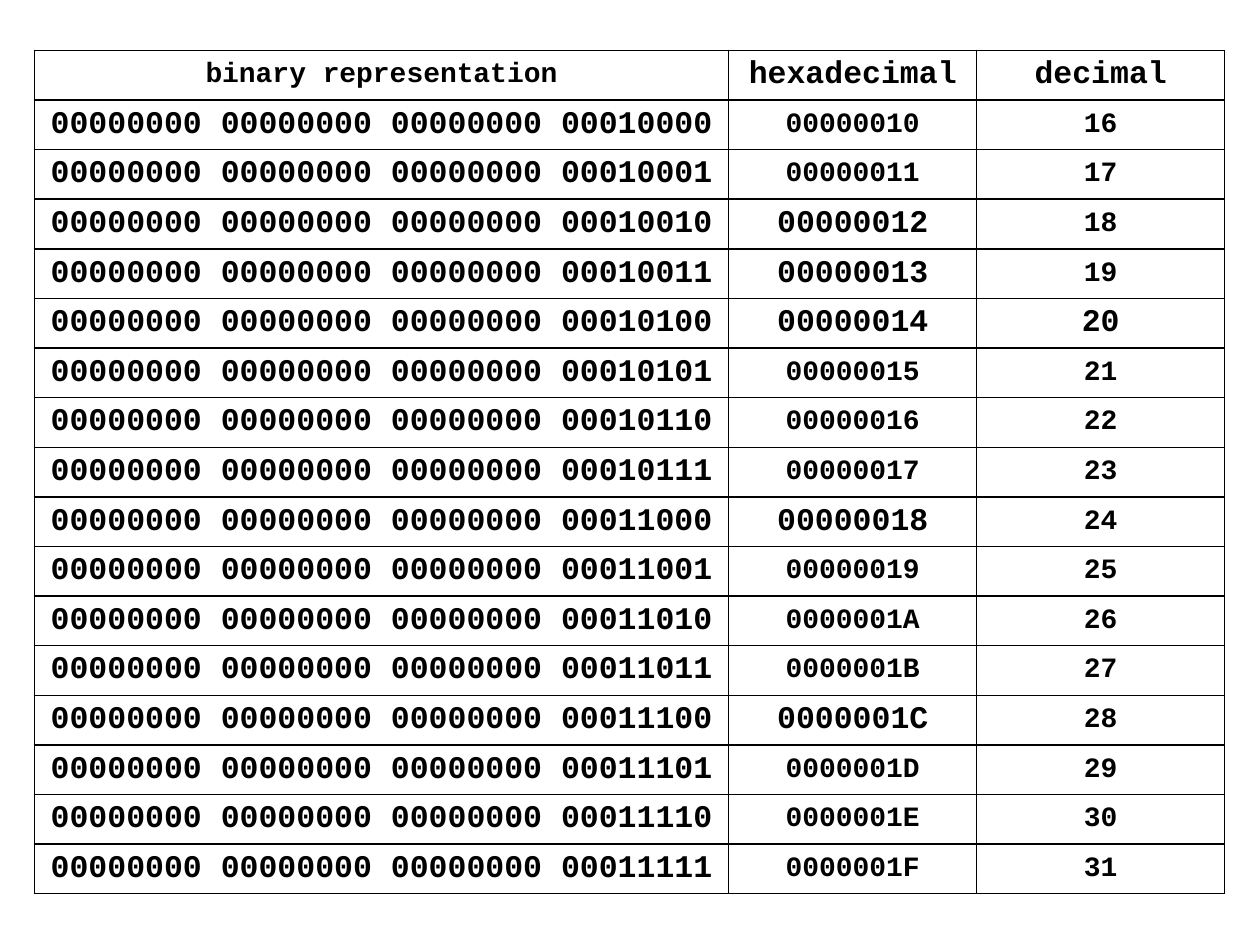
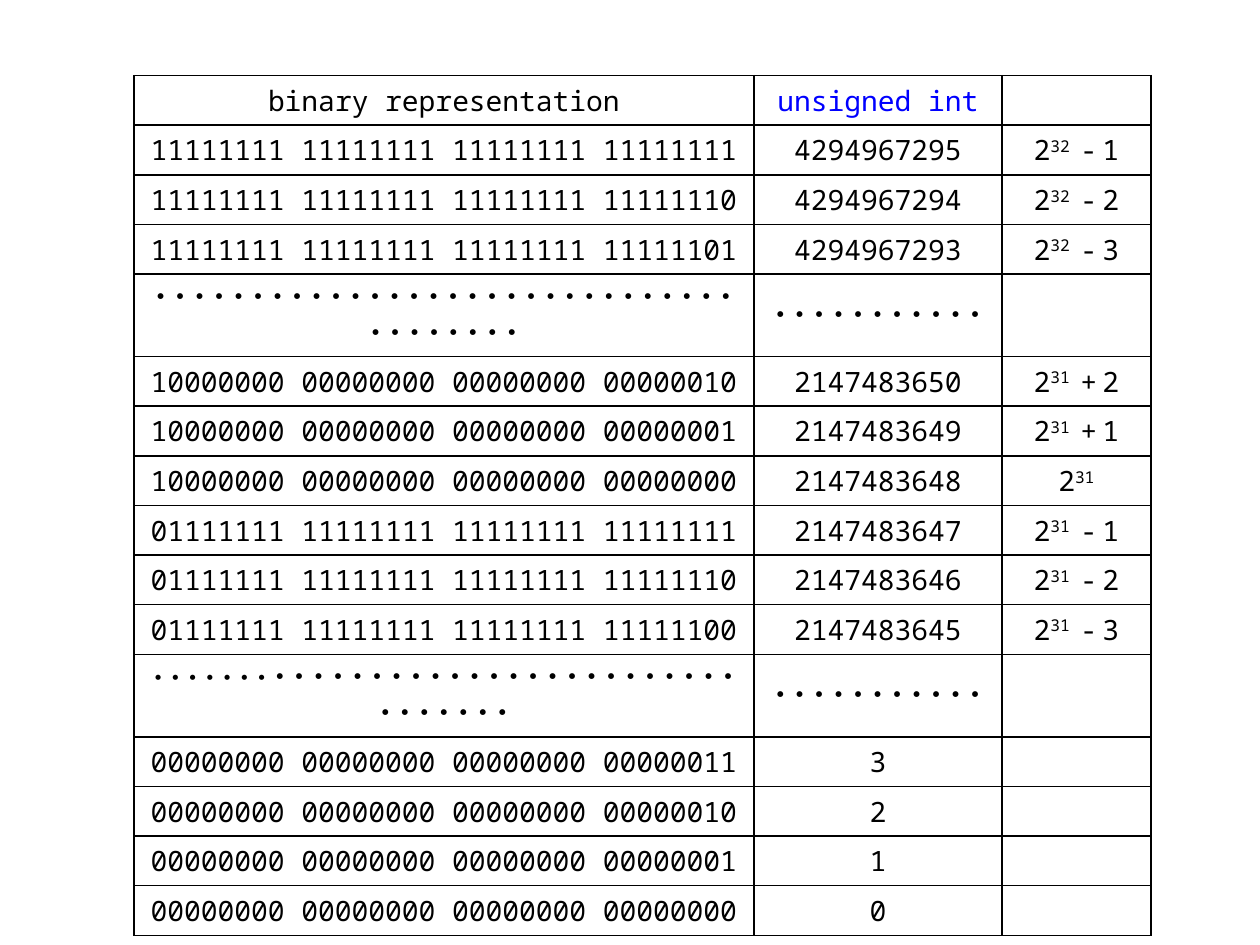
from lxml import etree
from pptx import Presentation
from pptx.dml.color import RGBColor
from pptx.enum import text
from pptx.oxml.ns import qn
from pptx.util import Pt

HUES = {"ink": "000000", "paper": "FFFFFF", "type": "0000FF"}
ROW = 28.35
SIDE, EDGE = 7.09, 2.83
MONO = {"face": "Noto Sans Mono", "size": 16}
DOTS = {"face": "Cambria", "size": 18, "bold": True}


def hue(name):
    return RGBColor.from_string(HUES[name])


def add_run(par, words, face, size, bold=False, tint="ink", base=0, gap=0):
    run = par.add_run()
    run.text = words
    font = run.font
    font.name, font.size, font.bold = face, Pt(size), bold
    font.color.rgb = hue(tint)
    props = run._r.get_or_add_rPr()
    if base:
        props.set("baseline", str(base * 1000))
    if gap:
        props.set("spc", str(gap * 100))


def rule_cell(cell):
    # Thin black line on all four sides
    props = cell._tc.get_or_add_tcPr()
    for side in ("lnL", "lnR", "lnT", "lnB"):
        line = etree.SubElement(props, qn("a:" + side), w=str(Pt(1)))
        fill = etree.SubElement(line, qn("a:solidFill"))
        etree.SubElement(fill, qn("a:srgbClr"), val=HUES["ink"])


def fill_cell(cell, runs, side):
    rule_cell(cell)
    cell.fill.solid()
    cell.fill.fore_color.rgb = hue("paper")
    cell.vertical_anchor = text.MSO_ANCHOR.MIDDLE
    cell.margin_left = cell.margin_right = Pt(side)
    cell.margin_top = cell.margin_bottom = Pt(EDGE)
    par = cell.text_frame.paragraphs[0]
    par.alignment = text.PP_ALIGN.CENTER
    for words, style in runs:
        add_run(par, words, **style)


def add_grid(slide, left, top, widths, rows, tight):
    """Draw rows of run lists; tight is the header column with slim sides."""
    frame = slide.shapes.add_table(len(rows), len(widths), Pt(left), Pt(top),
                                   Pt(sum(widths)), Pt(ROW * len(rows)))
    grid = frame.table
    grid.first_row = grid.horz_banding = False
    for col, width in zip(grid.columns, widths):
        col.width = Pt(width)
    for r, row in enumerate(rows):
        grid.rows[r].height = Pt(ROW)
        for c, runs in enumerate(row):
            side = EDGE if (r, c) == (0, tight) else SIDE
            fill_cell(grid.cell(r, c), runs, side)


def bits(num):
    whole = f"{num:032b}"
    return " ".join(whole[i:i + 8] for i in range(0, 32, 8))


def dots(count):
    return " ".join("⋅" * count)


def power(exp, sign="", step=""):
    # Two to the power exp, plus or minus a step
    if not sign:
        return [("2", MONO), (exp, {**MONO, "base": 30})]
    return [("2", MONO),
            (exp[0], {**MONO, "base": 30}),
            (exp[1], {**MONO, "base": 30, "gap": 6}),
            (sign, {**MONO, "gap": 3}),
            (step, MONO)]


def hex_slide(slide):
    small = {"face": "Courier New", "size": 16, "bold": True}
    large = {**small, "size": 18}
    big_hex = {18, 19, 20, 24, 28}
    rows = [[[("binary representation", small)], [("hexadecimal", large)],
             [("decimal", large)]]]
    for num in range(16, 32):
        rows.append([[(bits(num), large)],
                     [(f"{num:08X}", large if num in big_hex else small)],
                     [(str(num), large if num == 20 else small)]])
    add_grid(slide, 19.6, 28.8, [396.85, 141.73, 141.73], rows, tight=2)


def range_slide(slide):
    def line(num, note=(), shown=None):
        code = bits(num if shown is None else shown)
        return [[(code, MONO)], [(str(num), MONO)], note]

    top, mid = 2 ** 32, 2 ** 31
    gap = [(dots(11), DOTS)]
    rows = [[[("binary representation", MONO)],
             [("unsigned int", {**MONO, "tint": "type"})], []]]
    # Largest values
    rows += [line(top - n, power("32", "-", str(n))) for n in (1, 2, 3)]
    rows.append([[(dots(38), DOTS)], gap, []])
    # Values around the middle
    rows += [line(mid + n, power("31", "+", str(n))) for n in (2, 1)]
    rows.append(line(mid, power("31")))
    rows += [line(mid - n, power("31", "-", str(n))) for n in (1, 2)]
    rows.append(line(mid - 3, power("31", "-", "3"), shown=mid - 4))
    rows.append([[(dots(7) + " ", {**DOTS, "size": 16}), (dots(31), DOTS)],
                 gap, []])
    # Smallest values
    rows += [line(n) for n in (3, 2, 1, 0)]
    add_grid(slide, 76.54, 43.2, [354.33, 141.73, 85.04], rows, tight=1)


def main():
    deck = Presentation()
    deck.slide_width, deck.slide_height = Pt(720), Pt(540)
    for build in (hex_slide, range_slide):
        build(deck.slides.add_slide(deck.slide_layouts[6]))
    deck.save("out.pptx")


if __name__ == "__main__":
    main()
